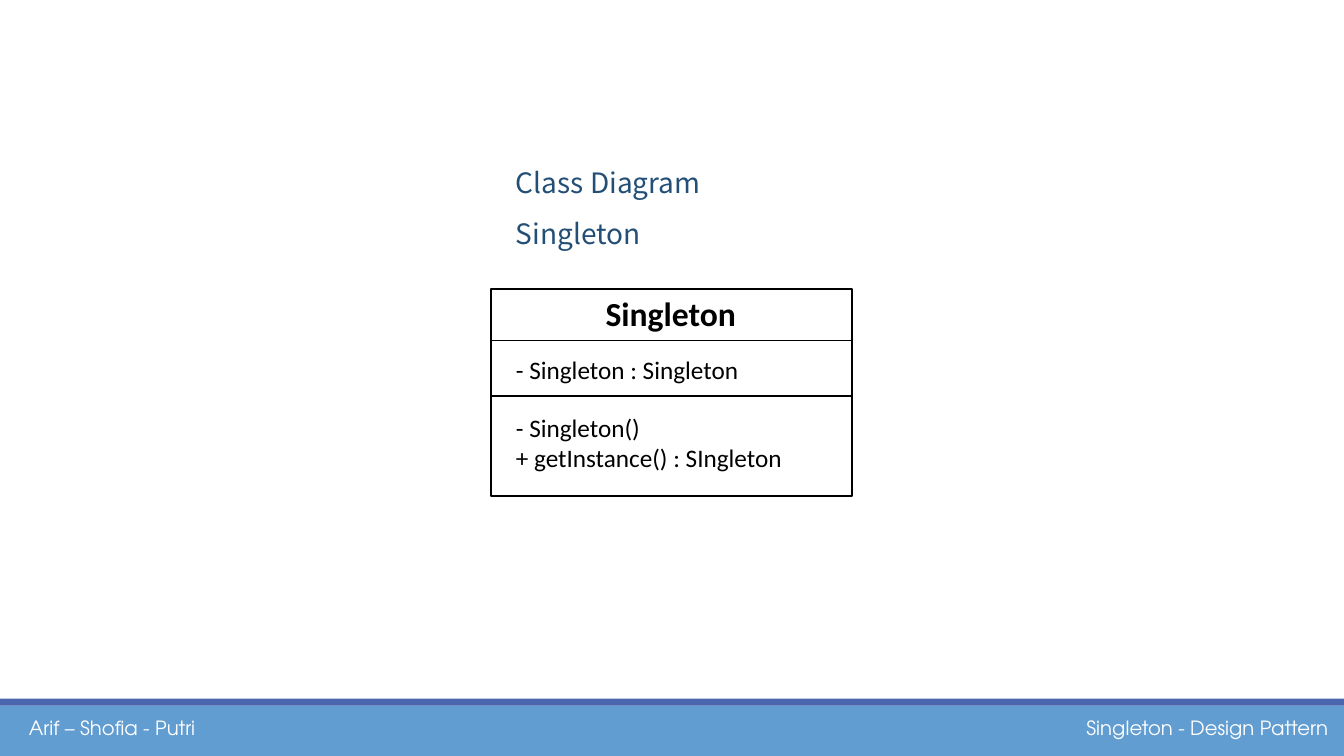
from dataclasses import dataclass

from lxml import etree
from pptx import Presentation
from pptx.dml.color import RGBColor
from pptx.enum.shapes import MSO_CONNECTOR, MSO_SHAPE
from pptx.oxml.ns import qn
from pptx.slide import Slide
from pptx.util import Inches, Length, Pt

RECTANGLE = MSO_SHAPE.RECTANGLE
STRAIGHT = MSO_CONNECTOR.STRAIGHT

WHITE = RGBColor(0xFF, 0xFF, 0xFF)
BLACK = RGBColor(0x00, 0x00, 0x00)
SKY = RGBColor(0x62, 0x9D, 0xD1)
INDIGO = RGBColor(0x4A, 0x66, 0xAC)
NAVY = RGBColor(0x23, 0x4F, 0x77)

SLIDE_WIDTH = Inches(13.33)
SLIDE_HEIGHT = Inches(7.5)


@dataclass(frozen=True)
class Area:
    """Percentages of the slide's width and height."""

    left: float
    top: float
    width: float
    height: float

    def lengths(self) -> tuple[Length, Length, Length, Length]:
        return across(self.left), down(self.top), across(self.width), down(self.height)


@dataclass(frozen=True)
class Panel:
    area: Area
    fill: RGBColor
    outline: RGBColor | None = None


@dataclass(frozen=True)
class Style:
    font: str
    size: int
    color: RGBColor
    bold: bool = False
    line_height: Length | None = None
    wrap: bool = False


@dataclass(frozen=True)
class Label:
    area: Area
    lines: tuple[str, ...]
    style: Style


FOOTER = Style("TeX Gyre Adventor", 14, WHITE)
HEADING = Style("Noto Sans CJK SC", 20, NAVY, line_height=Pt(36), wrap=True)
CLASS_NAME = Style("Calibri", 24, BLACK, bold=True)
MEMBER = Style("Calibri", 18, BLACK)

TEXT_LEFT = 37.65
FOOTER_TOP, FOOTER_HEIGHT = 94, 4.53
CLASS_AREA = Area(36.53, 38.27, 26.85, 27.33)
DIVIDER_TOPS = (45.07, 52.4)

PANELS = (
    Panel(Area(0, 93.33, 100, 6.67), SKY),
    Panel(Area(0, 92.4, 100, 0.93), INDIGO),
    Panel(CLASS_AREA, WHITE, BLACK),
)

LABELS = (
    Label(Area(80.1, FOOTER_TOP, 19.72, FOOTER_HEIGHT), ("Singleton - Design Pattern",), FOOTER),
    Label(Area(1.42, FOOTER_TOP, 14.03, FOOTER_HEIGHT), ("Arif – Shofia - Putri",), FOOTER),
    Label(Area(TEXT_LEFT, 19.07, 24.6, 8.13), ("Class Diagram", "Singleton"), HEADING),
    Label(Area(44.32, 38.13, 11.33, 6.67), ("Singleton",), CLASS_NAME),
    Label(Area(TEXT_LEFT, 46.27, 18.22, 5.33), ("- Singleton : Singleton",), MEMBER),
    Label(Area(TEXT_LEFT, 53.87, 21.53, 9.47), ("- Singleton()", "+ getInstance() : SIngleton"), MEMBER),
)


def across(percent: float) -> Length:
    return Length(round(SLIDE_WIDTH * percent / 100))


def down(percent: float) -> Length:
    return Length(round(SLIDE_HEIGHT * percent / 100))


def draw_panel(page: Slide, panel: Panel) -> None:
    shape = page.shapes.add_shape(RECTANGLE, *panel.area.lengths())
    shape.shadow.inherit = False
    shape.fill.solid()
    shape.fill.fore_color.rgb = panel.fill
    if panel.outline is None:
        shape.line.fill.background()
    else:
        shape.line.color.rgb = panel.outline
        shape.line.width = Pt(1.25)


def draw_divider(page: Slide, top: float) -> None:
    left = across(CLASS_AREA.left)
    right = across(CLASS_AREA.left + CLASS_AREA.width)
    divider = page.shapes.add_connector(STRAIGHT, left, down(top), right, down(top))
    divider.line.color.rgb = BLACK
    divider.line.width = Pt(1)
    etree.SubElement(divider._element.spPr, qn("a:effectLst"))


def draw_label(page: Slide, label: Label) -> None:
    style = label.style
    box = page.shapes.add_textbox(*label.area.lengths())
    frame = box.text_frame
    frame.word_wrap = style.wrap
    for index, line in enumerate(label.lines):
        para = frame.add_paragraph() if index else frame.paragraphs[0]
        if style.line_height is not None:
            para.line_spacing = style.line_height
        span = para.add_run()
        span.text = line
        span.font.name = style.font
        span.font.size = Pt(style.size)
        span.font.bold = style.bold
        span.font.color.rgb = style.color


def main() -> None:
    deck = Presentation()
    deck.slide_width = SLIDE_WIDTH
    deck.slide_height = SLIDE_HEIGHT
    page = deck.slides.add_slide(deck.slide_layouts[6])
    for panel in PANELS:
        draw_panel(page, panel)
    for top in DIVIDER_TOPS:
        draw_divider(page, top)
    for label in LABELS:
        draw_label(page, label)
    deck.save("out.pptx")


if __name__ == "__main__":
    main()
